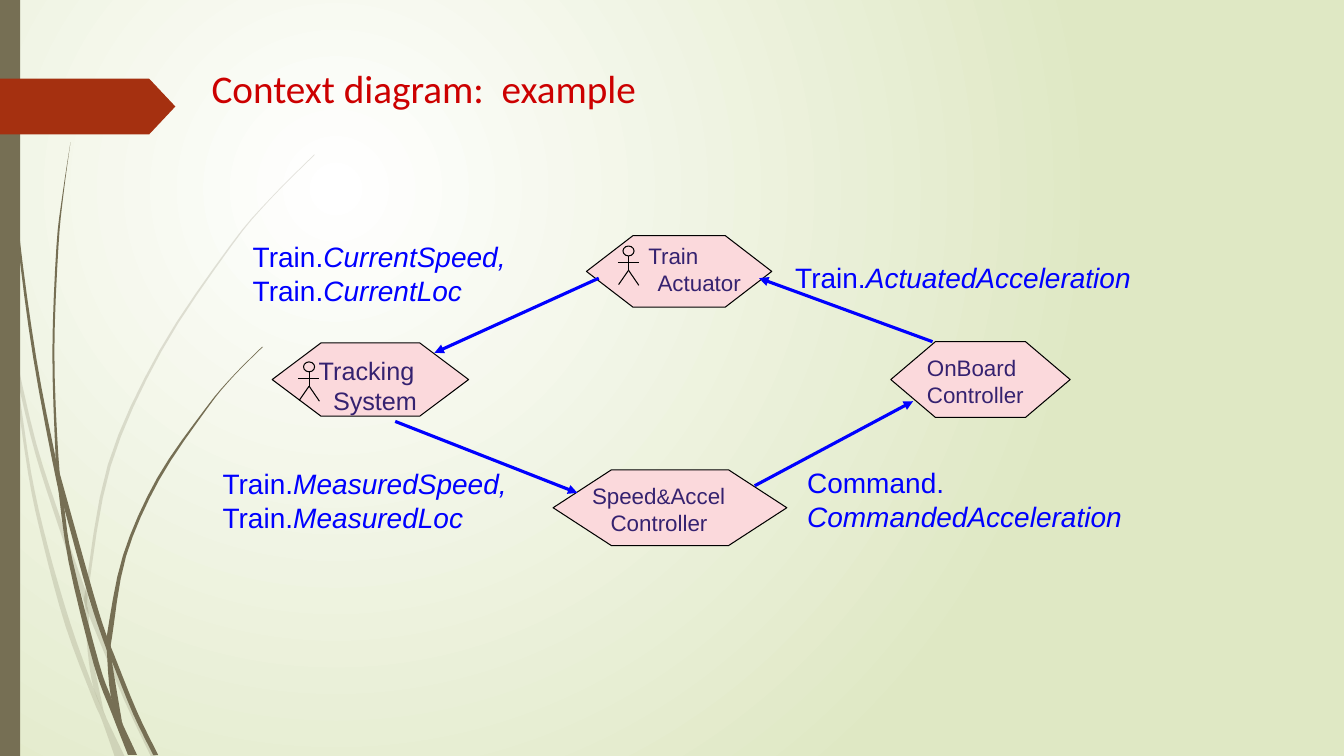
from lxml import etree
from pptx import Presentation
from pptx import util as u
from pptx.dml.color import RGBColor
from pptx.enum import shapes, text
from pptx.oxml.ns import qn


def tint(code):
    return RGBColor.from_string(code)


def add_run(para, words, size, code, font="Arial", slant=False):
    run = para.add_run()
    run.text = words
    run.font.size, run.font.name, run.font.italic = u.Pt(size), font, slant
    run.font.color.rgb = tint(code)


deck = Presentation()
deck.slide_width, deck.slide_height = u.Cm(33.87), u.Cm(19.05)
slide = deck.slides.add_slide(deck.slide_layouts[5])
items = slide.shapes

# Background: a white glow in the upper left
back = slide.background.fill
back.gradient()
for stop, code in zip(back.gradient_stops, ("FFFFFF", "DFE8C4")):
    stop.color.rgb = tint(code)
grad = slide._element.find(".//" + qn("a:gradFill"))
grad.remove(grad.find(qn("a:lin")))
glow = etree.SubElement(grad, qn("a:path"), path="circle")
etree.SubElement(glow, qn("a:fillToRect"), l="50000", t="50000", r="100000", b="100000")

# Grass blades: two edges each, in hundredths of an inch, light ones first
blades = [
    (20, [(0, 282), (9, 322), (14, 345), (36, 440), (62, 520), (85, 586), (105, 640), (127, 692), (155, 751)],
     [(150, 751), (123, 694), (88, 610), (84, 599), (58, 522), (35, 450), (17, 376), (10, 344), (0, 299)]),
    (20, [(11, 350), (17, 376), (31, 469), (47, 540), (70, 619), (93, 683), (105, 711), (124, 751)],
     [(114, 751), (101, 714), (92, 693), (65, 621), (43, 540), (28, 470), (11, 350)]),
    (20, [(312, 153), (268, 197), (228, 244), (158, 348), (107, 461), (85, 584), (84, 599), (87, 646), (93, 683), (105, 711)],
     [(103, 706), (91, 646), (88, 608), (88, 584), (110, 462), (160, 349), (229, 245), (268, 198), (312, 154)]),
    (100, [(4, 0), (8, 109), (19, 232), (36, 355), (55, 453), (60, 472), (93, 590), (106, 631), (113, 649), (136, 706), (157, 749)],
     [(152, 749), (132, 708), (111, 656), (106, 645), (88, 592), (64, 505), (56, 477), (33, 355), (17, 233), (7, 110), (3, 0)]),
    (100, [(70, 141), (62, 193), (56, 245), (52, 349), (55, 449), (57, 477), (68, 557), (93, 659), (111, 708), (127, 749)],
     [(136, 749), (122, 719), (110, 691), (98, 657), (72, 556), (64, 505), (58, 453), (54, 349), (58, 245), (63, 193), (70, 141)]),
    (100, [(260, 344), (231, 373), (204, 405), (156, 474), (122, 551), (106, 631), (106, 645), (110, 691), (122, 719)],
     [(121, 716), (111, 656), (110, 641), (111, 633), (125, 552), (158, 476), (205, 406), (231, 374), (261, 344)]),
]
for alpha, *edges in blades:
    dots = []
    for edge in edges:
        ends = [edge[0], *edge, edge[-1]]
        for a, b, c, d in zip(ends, ends[1:], ends[2:], ends[3:]):
            for t in (0, 0.25, 0.5, 0.75):  # Catmull-Rom curve from b to c
                dots.append(tuple(
                    50 * (2 * q + (r - p) * t + (2 * p - 5 * q + 4 * r - s) * t**2
                          + (3 * q - p - 3 * r + s) * t**3)
                    for p, q, r, s in zip(a, b, c, d)))
        dots.append((edge[-1][0] * 100, edge[-1][1] * 100))
    form = items.build_freeform(*dots[0], scale=u.Cm(0.0254) / 100)
    form.add_line_segments(dots[1:])
    blade = form.convert_to_shape()
    blade.shadow.inherit = False
    blade.fill.solid()
    blade.fill.fore_color.rgb = tint("766F54")
    blade.line.fill.background()
    if alpha < 100:
        shade = blade._element.spPr.find(".//" + qn("a:srgbClr"))
        etree.SubElement(shade, qn("a:alpha"), val=str(alpha * 1000))

# Side bar and title tag
for kind, top, wide, high, code in [
    (shapes.MSO_SHAPE.RECTANGLE, 0, 0.51, 19.05, "766F54"),
    (shapes.MSO_SHAPE.PENTAGON, 1.98, 4.42, 1.41, "A53010"),
]:
    band = items.add_shape(kind, 0, u.Cm(top), u.Cm(wide), u.Cm(high))
    band.shadow.inherit = False
    band.fill.solid()
    band.fill.fore_color.rgb = tint(code)
    band.line.fill.background()
    if kind == shapes.MSO_SHAPE.PENTAGON:
        band.adjustments[0] = 0.47

title = items.title
title.left, title.top, title.width, title.height = u.Cm(5.08), u.Cm(1.04), u.Cm(24.03), u.Cm(2.11)
title.text_frame.vertical_anchor = text.MSO_ANCHOR.MIDDLE
para = title.text_frame.paragraphs[0]
para.alignment, para.line_spacing = text.PP_ALIGN.LEFT, 1.2
add_run(para, "Context diagram:  example", 28, "CC0000", "Calibri")

# Components: box, slant, lines of (indent, runs of (words, size))
parts = [
    ((14.78, 5.94, 4.67, 1.8), 0.65, [(0.78, [("Train", 16)]), (None, [("Actuator", 16)])]),
    ((6.86, 8.64, 4.95, 1.85), 0.666, [(0.35, [("Tracking", 18)]), (0.71, [("System", 18)])]),
    ((13.94, 11.84, 5.89, 1.91), 0.769,
     [(0, [("Speed", 16), ("&", 15), ("Accel", 16)]), (0.47, [("Controller", 16)])]),
    ((22.45, 8.61, 4.52, 1.91), 0.589, [(0.16, [("OnBoard", 16)]), (0.16, [("Controller", 16)])]),
]
for box, slant, lines in parts:
    part = items.add_shape(shapes.MSO_SHAPE.HEXAGON, *map(u.Cm, box))
    part.adjustments[0] = slant
    part.shadow.inherit = False
    part.fill.solid()
    part.fill.fore_color.rgb = tint("FBD9DC")
    part.line.color.rgb, part.line.width = tint("000000"), u.Pt(0.75)
    frame = part.text_frame
    frame.margin_left = frame.margin_top = frame.margin_right = frame.margin_bottom = 0
    frame.vertical_anchor = text.MSO_ANCHOR.TOP
    for n, (dent, runs) in enumerate(lines):
        para = frame.add_paragraph() if n else frame.paragraphs[0]
        if dent is None:  # set flush right, under a tightened first line
            para.alignment = text.PP_ALIGN.RIGHT
            frame.paragraphs[0].line_spacing = 0.8
        else:
            para.alignment = text.PP_ALIGN.LEFT
            para._p.get_or_add_pPr().set("marL", str(u.Cm(dent)))
        for words, size in runs:
            add_run(para, words, size, "352270")

# Lines: start, end, colour, width; the flows end in an arrowhead
flows = [
    (23.5, 8.61, 19.13, 7.01),
    (15.09, 7.01, 10.95, 8.89),
    (9.96, 10.62, 14.55, 12.42),
    (19.02, 12.24, 23.01, 10.11),
]
links = [(flow, "0000FF", 2.25) for flow in flows]
limbs = [(0.14, 0.25, 0.14, 0.61), (0.14, 0.61, -0.11, 0.97), (0.14, 0.61, 0.4, 0.99), (-0.13, 0.41, 0.4, 0.41)]
for x, y in [(15.7, 6.2), (7.65, 9.12)]:
    head = items.add_shape(shapes.MSO_SHAPE.OVAL, u.Cm(x), u.Cm(y), u.Cm(0.28), u.Cm(0.25))
    head.shadow.inherit = False
    head.fill.background()
    head.line.color.rgb, head.line.width = tint("000000"), u.Pt(0.75)
    links += [((x + a, y + b, x + c, y + d), "000000", 0.75) for a, b, c, d in limbs]
for ends, code, width in links:
    link = items.add_connector(shapes.MSO_CONNECTOR.STRAIGHT, *map(u.Cm, ends))
    link.line.color.rgb, link.line.width = tint(code), u.Pt(width)
    if ends in flows:
        etree.SubElement(link.line._get_or_add_ln(), qn("a:tailEnd"), type="triangle")
    etree.SubElement(link._element.spPr, qn("a:effectLst"))

# Flow labels: owner upright, quantity in italics
labels = [
    ((20.09, 11.61, 8.92, 1.6), [("Command.", ""), ("", "CommandedAcceleration")]),
    ((19.79, 6.45, 9.27, 1.32), [("Train.", "ActuatedAcceleration")]),
    ((6.12, 5.92, 7.49, 1.45), [("Train.", "CurrentSpeed,"), ("Train.", "CurrentLoc")]),
    ((5.36, 11.63, 7.77, 1.45), [("Train.", "MeasuredSpeed,"), ("Train.", "MeasuredLoc")]),
]
for box, lines in labels:
    frame = items.add_textbox(*map(u.Cm, box)).text_frame
    frame.word_wrap = True
    for n, pair in enumerate(lines):
        para = frame.add_paragraph() if n else frame.paragraphs[0]
        for words, slant in zip(pair, (False, True)):
            if words:
                add_run(para, words, 20, "0000FF", slant=slant)

deck.save("out.pptx")
